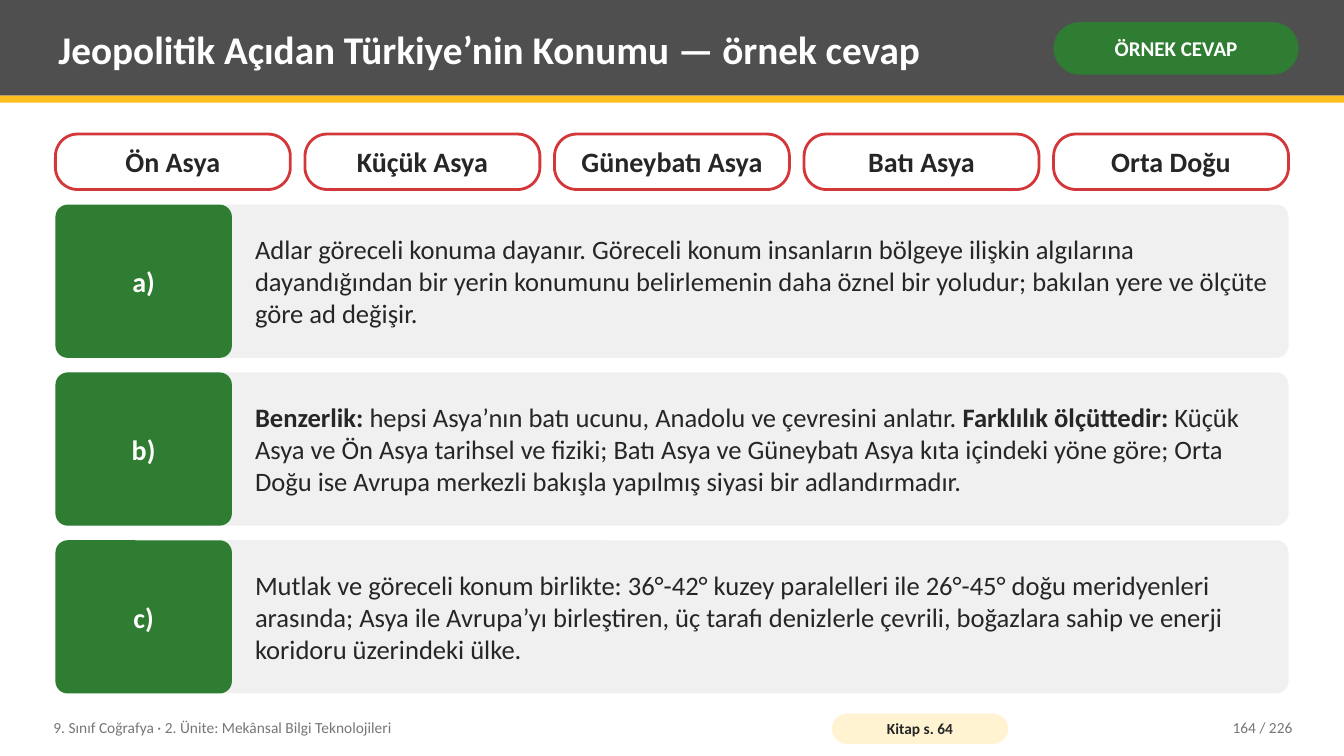
from pptx import Presentation
from pptx.dml.color import RGBColor
from pptx.enum.shapes import MSO_SHAPE as SHAPE
from pptx.enum.text import MSO_ANCHOR as ANCHOR, PP_ALIGN as ALIGN
from pptx.util import Pt

TITLE = "Jeopolitik Açıdan Türkiye’nin Konumu — örnek cevap"
BADGE = "ÖRNEK CEVAP"
NAMES = ["Ön Asya", "Küçük Asya", "Güneybatı Asya", "Batı Asya", "Orta Doğu"]
ANSWERS = [
    ("a)", [("Adlar göreceli konuma dayanır. Göreceli konum insanların bölgeye "
             "ilişkin algılarına dayandığından bir yerin konumunu belirlemenin daha "
             "öznel bir yoludur; bakılan yere ve ölçüte göre ad değişir.", False)]),
    ("b)", [("Benzerlik:", True),
            (" hepsi Asya’nın batı ucunu, Anadolu ve çevresini anlatır. ", False),
            ("Farklılık ölçüttedir:", True),
            (" Küçük Asya ve Ön Asya tarihsel ve fiziki; Batı Asya ve Güneybatı Asya "
             "kıta içindeki yöne göre; Orta Doğu ise Avrupa merkezli bakışla yapılmış "
             "siyasi bir adlandırmadır.", False)]),
    ("c)", [("Mutlak ve göreceli konum birlikte: 36°-42° kuzey paralelleri ile 26°-45° "
             "doğu meridyenleri arasında; Asya ile Avrupa’yı birleştiren, üç tarafı "
             "denizlerle çevrili, boğazlara sahip ve enerji koridoru üzerindeki ülke.",
             False)]),
]
UNIT = "9. Sınıf Coğrafya · 2. Ünite: Mekânsal Bilgi Teknolojileri"
BOOK = "Kitap s. 64"
PAGE = "164 / 226"

COLORS = {"white": "FFFFFF", "header": "4F4F4F", "yellow": "FCC021", "green": "2E7D32",
          "red": "D3373A", "ink": "262626", "panel": "F0F0F0", "cream": "FFF3D1",
          "muted": "767676"}
FONT = "Calibri"
PX = 9144
WIDTH, HEIGHT = 1333, 750
LEFT, BODY_W = 55, 1223
CHIP_TOP, CHIP_W, CHIP_H = 133, 233, 55
ROW_TOP, ROW_BOTTOM, ROW_H, LABEL_W = 203, 688, 152, 175


def emu(*lengths):
    return [round(v * PX) for v in lengths]


def rgb(name):
    return RGBColor.from_string(COLORS[name])


def add_box(box, fill, adj=None, line=None):
    kind = SHAPE.RECTANGLE if adj is None else SHAPE.ROUNDED_RECTANGLE
    sp = slide.shapes.add_shape(kind, *emu(*box))
    sp.shadow.inherit = False
    if adj is not None:
        sp.adjustments[0] = adj
    sp.fill.solid()
    sp.fill.fore_color.rgb = rgb(fill)
    if line:
        sp.line.color.rgb = rgb(line)
        sp.line.width = Pt(2)
    else:
        sp.line.fill.background()
    return sp


def add_text(text, size, color, box=None, sp=None, bold=False, align=ALIGN.LEFT, inset=(8, 4)):
    sp = sp or slide.shapes.add_textbox(*emu(*box))
    tf = sp.text_frame
    tf.word_wrap = True
    tf.vertical_anchor = ANCHOR.MIDDLE
    tf.margin_left, tf.margin_top, tf.margin_right, tf.margin_bottom = emu(*inset * 2)
    p = tf.paragraphs[0]
    p.alignment = align
    for part, strong in [(text, bold)] if isinstance(text, str) else text:
        r = p.add_run()
        r.text = part
        r.font.name, r.font.size, r.font.bold = FONT, Pt(size), strong
        r.font.color.rgb = rgb(color)


def add_label(text, size, color, sp, inset):
    add_text(text, size, color, sp=sp, bold=True, align=ALIGN.CENTER, inset=inset)


prs = Presentation()
prs.slide_width, prs.slide_height = emu(WIDTH, HEIGHT)
slide = prs.slides.add_slide(prs.slide_layouts[6])

add_box((0, 0, WIDTH, 95), "header")
add_box((0, 95, WIDTH, 7), "yellow")
add_text(TITLE, 28, "white", box=(50, 7, 975, 82), bold=True)
add_label(BADGE, 15, "white", add_box((1045, 22, 243, 52), "green", 0.5), (5, 2))

chip_step = (BODY_W - CHIP_W) / (len(NAMES) - 1)
for i, name in enumerate(NAMES):
    chip = add_box((LEFT + i * chip_step, CHIP_TOP, CHIP_W, CHIP_H), "white", 0.4, "red")
    add_label(name, 20, "ink", chip, (4, 0))

row_step = (ROW_BOTTOM - ROW_TOP - ROW_H) / (len(ANSWERS) - 1)
for i, (letter, answer) in enumerate(ANSWERS):
    top = ROW_TOP + i * row_step
    add_box((LEFT, top, BODY_W, ROW_H), "panel", 0.08)
    label = add_box((LEFT, top, LABEL_W, ROW_H), "green", 0.08)
    add_label(letter, 20, "white", label, (6, 8))
    add_text(answer, 19, "ink", box=(LEFT + LABEL_W + 15, top, 1023, ROW_H))

add_text(UNIT, 11, "muted", box=(45, 704, 760, 36))
add_label(BOOK, 11, "ink", add_box((825, 708, 175, 30), "cream", 0.5), (4, 0))
add_text(PAGE, 11, "muted", box=(1130, 704, 160, 36), align=ALIGN.RIGHT)

prs.save("out.pptx")
